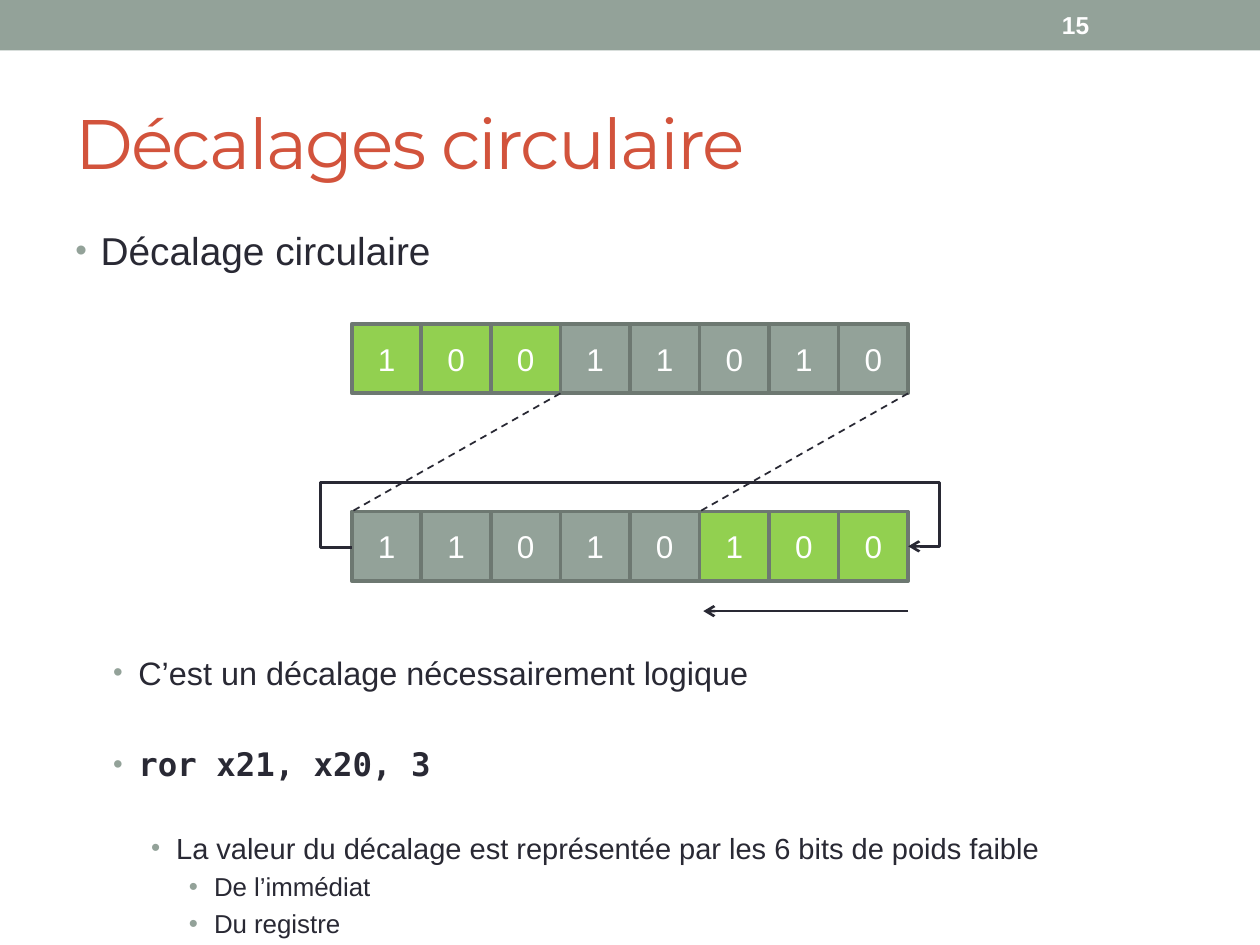
from lxml.etree import SubElement
from pptx import Presentation
from pptx.dml.color import RGBColor
from pptx.enum.dml import MSO_LINE as Dash
from pptx.enum.shapes import MSO_CONNECTOR as Connector, MSO_SHAPE as Shape
from pptx.enum.text import MSO_ANCHOR as Anchor, PP_ALIGN as Align
from pptx.oxml.ns import qn
from pptx.util import Inches, Pt

COLORS = {
    "sage": "93A299",
    "border": "6D7871",
    "green": "92D050",
    "ink": "292934",
    "title": "D2533C",
    "white": "FFFFFF",
}
WIDTH, HEIGHT = 10, 7.5
CELL = 0.552
BITS = 8
SHIFT = 3
ROW_LEFT = (WIDTH - BITS * CELL) / 2
ROW_RIGHT = WIDTH - ROW_LEFT
BEFORE_TOP, AFTER_TOP = 2.57, 4.06

BULLETS = [
    ("Décalage circulaire", 0, 22.2, 4.4, 85, {}),
    ("C’est un décalage nécessairement logique", 1, 18.5, 217, 85, {}),
    ("ror x21, x20, 3", 1, 18.5, 29.8, 85, {"font": "DejaVu Sans Mono", "bold": True}),
    ("La valeur du décalage est représentée par les 6 bits de poids faible",
     2, 16.6, 27, 90, {}),
    ("De l’immédiat", 3, 14.8, 3.4, 100, {}),
    ("Du registre", 3, 14.8, 3.4, 100, {}),
]


def color(name):
    return RGBColor.from_string(COLORS[name])


def write(paragraph, text, size=18, font="Arial", ink="ink", bold=False,
          align=Align.LEFT, tracking=None):
    paragraph.alignment = align
    run = paragraph.add_run()
    run.text = text
    run.font.size = Pt(size)
    run.font.name = font
    run.font.bold = bold
    run.font.color.rgb = color(ink)
    if tracking is not None:
        run._r.get_or_add_rPr().set("spc", str(tracking))


def add_frame(slide, left, top, width, height, anchor=Anchor.MIDDLE):
    box = slide.shapes.add_textbox(*map(Inches, (left, top, width, height)))
    frame = box.text_frame
    frame.word_wrap = True
    frame.vertical_anchor = anchor
    return frame


def add_box(slide, left, top, width, height, fill, border=None):
    box = slide.shapes.add_shape(
        Shape.RECTANGLE, *map(Inches, (left, top, width, height)))
    box.shadow.inherit = False
    box.fill.solid()
    box.fill.fore_color.rgb = color(fill)
    if border:
        box.line.color.rgb = color(border)
        box.line.width = Pt(2.08)
    else:
        box.line.fill.background()
    return box


def add_register(slide, top, bits, moved):
    register = slide.shapes.add_group_shape()
    for column, bit in enumerate(bits):
        fill = "green" if column in moved else "sage"
        cell = add_box(slide, ROW_LEFT + column * CELL, top, CELL, CELL, fill, "border")
        register._element.append(cell._element)
        frame = cell.text_frame
        frame.vertical_anchor = Anchor.MIDDLE
        write(frame.paragraphs[0], bit, ink="white", align=Align.CENTER)


def style_line(line, width, dashed=False, arrow=False):
    line.color.rgb = color("ink")
    line.width = Pt(width)
    if dashed:
        line.dash_style = Dash.DASH
    if arrow:
        SubElement(line._get_or_add_ln(), qn("a:tailEnd"), type="arrow")


def add_line(slide, start, end, width, **style):
    connector = slide.shapes.add_connector(
        Connector.STRAIGHT, *map(Inches, start + end))
    style_line(connector.line, width, **style)
    SubElement(connector._element.spPr, qn("a:effectLst"))


def add_rotation_path(slide):
    reach = 0.25
    middle = AFTER_TOP + CELL / 2
    bridge = AFTER_TOP - 0.23
    points = [
        (ROW_LEFT, middle + 0.01), (ROW_LEFT - reach, middle + 0.01),
        (ROW_LEFT - reach, bridge), (ROW_RIGHT + reach, bridge),
        (ROW_RIGHT + reach, middle), (ROW_RIGHT, middle),
    ]
    start, *rest = [(Inches(x), Inches(y)) for x, y in points]
    builder = slide.shapes.build_freeform(*start)
    builder.add_line_segments(rest, close=False)
    path = builder.convert_to_shape()
    path.fill.background()
    style_line(path.line, 1.5, arrow=True)
    path.shadow.inherit = False


def add_bullets(slide):
    frame = add_frame(slide, 0.5, 1.75, 9.38, 5.54, Anchor.TOP)
    for index, (text, level, size, gap, share, style) in enumerate(BULLETS):
        paragraph = frame.add_paragraph() if index else frame.paragraphs[0]
        paragraph.level = level
        paragraph.space_before = Pt(gap)
        write(paragraph, text, size=size, **style)
        layout = paragraph._p.get_or_add_pPr()
        layout.set("marL", str(Inches(0.2 + 0.3 * level)))
        layout.set("indent", str(Inches(-0.2)))
        tint = SubElement(layout, qn("a:buClr"))
        SubElement(tint, qn("a:srgbClr"), val=COLORS["sage"])
        SubElement(layout, qn("a:buSzPct"), val=str(share * 1000))
        SubElement(layout, qn("a:buFont"), typeface="Arial")
        SubElement(layout, qn("a:buChar"), char="•")


def main():
    deck = Presentation()
    deck.slide_width, deck.slide_height = Inches(WIDTH), Inches(HEIGHT)
    slide = deck.slides.add_slide(deck.slide_layouts[6])

    add_box(slide, 0, 0, WIDTH, 0.4, "sage")
    heading = add_frame(slide, 0.5, 0.58, 9, 1.08)
    write(heading.paragraphs[0], "Décalages circulaire", size=40,
          font="Montserrat", ink="title", tracking=-100)
    add_bullets(slide)
    number = add_frame(slide, 8.33, 0.02, 1.17, 0.36)
    write(number.paragraphs[0], "15", size=14, ink="white", bold=True)

    add_register(slide, BEFORE_TOP, "10011010", range(SHIFT))
    add_register(slide, AFTER_TOP, "11010100", range(BITS - SHIFT, BITS))

    moved_left = ROW_RIGHT - SHIFT * CELL
    add_line(slide, (ROW_RIGHT, 4.85), (moved_left + 0.03, 4.85), 1.5, arrow=True)
    for column in (SHIFT, BITS):
        top_x = ROW_LEFT + column * CELL
        add_line(slide, (top_x, BEFORE_TOP + CELL),
                 (top_x - SHIFT * CELL, AFTER_TOP), 1, dashed=True)
    add_rotation_path(slide)

    deck.save("out.pptx")


if __name__ == "__main__":
    main()
